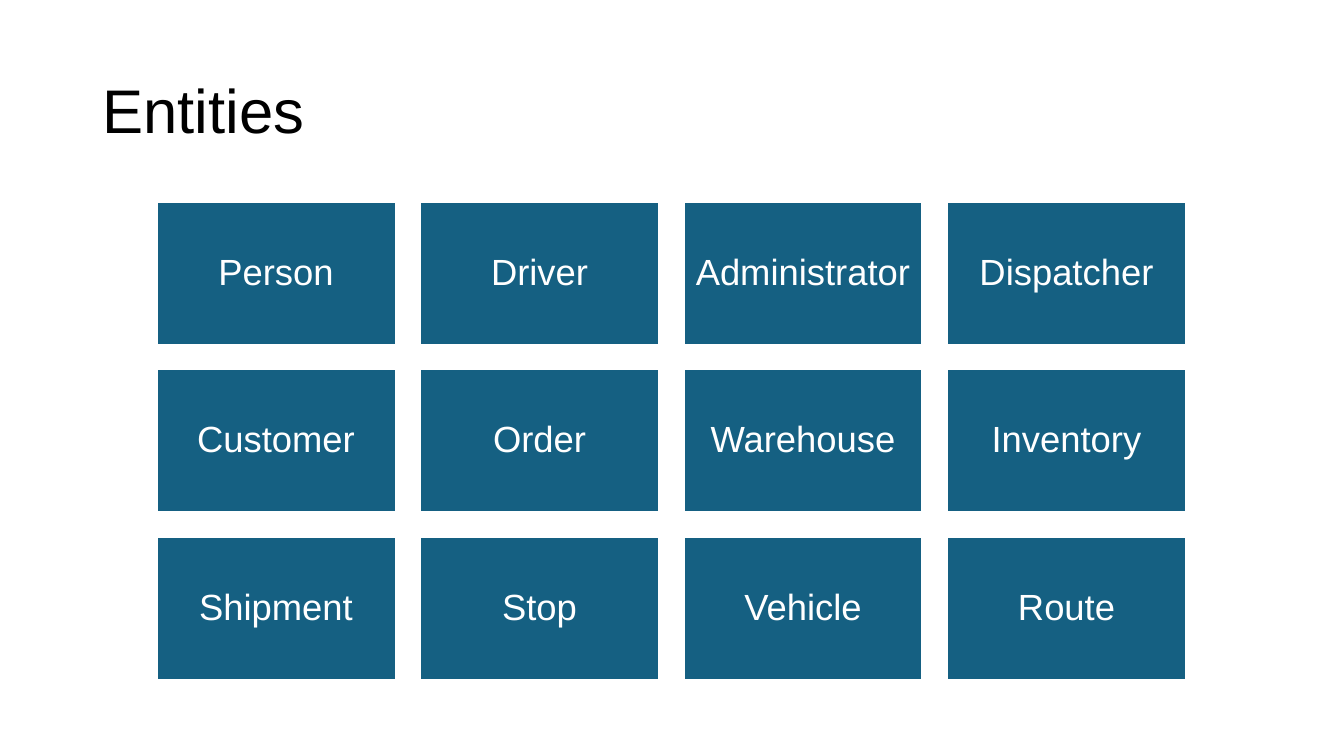
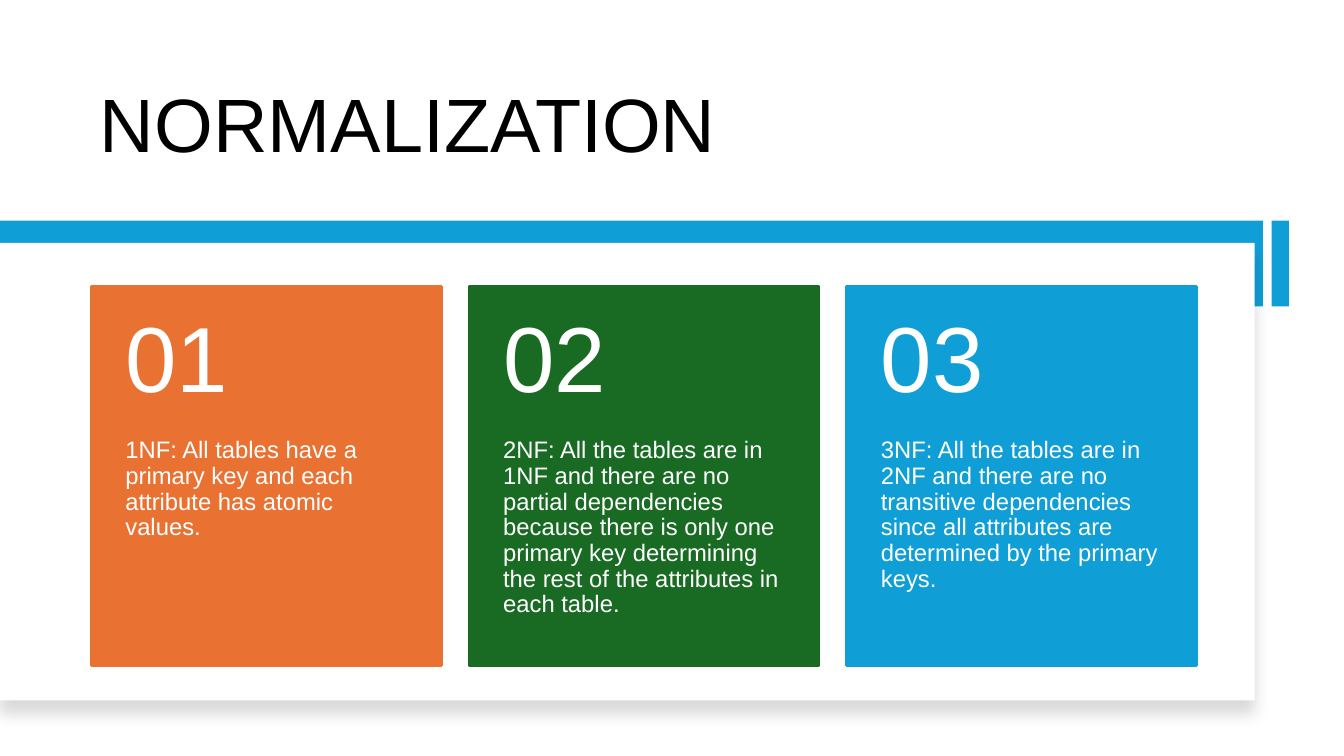
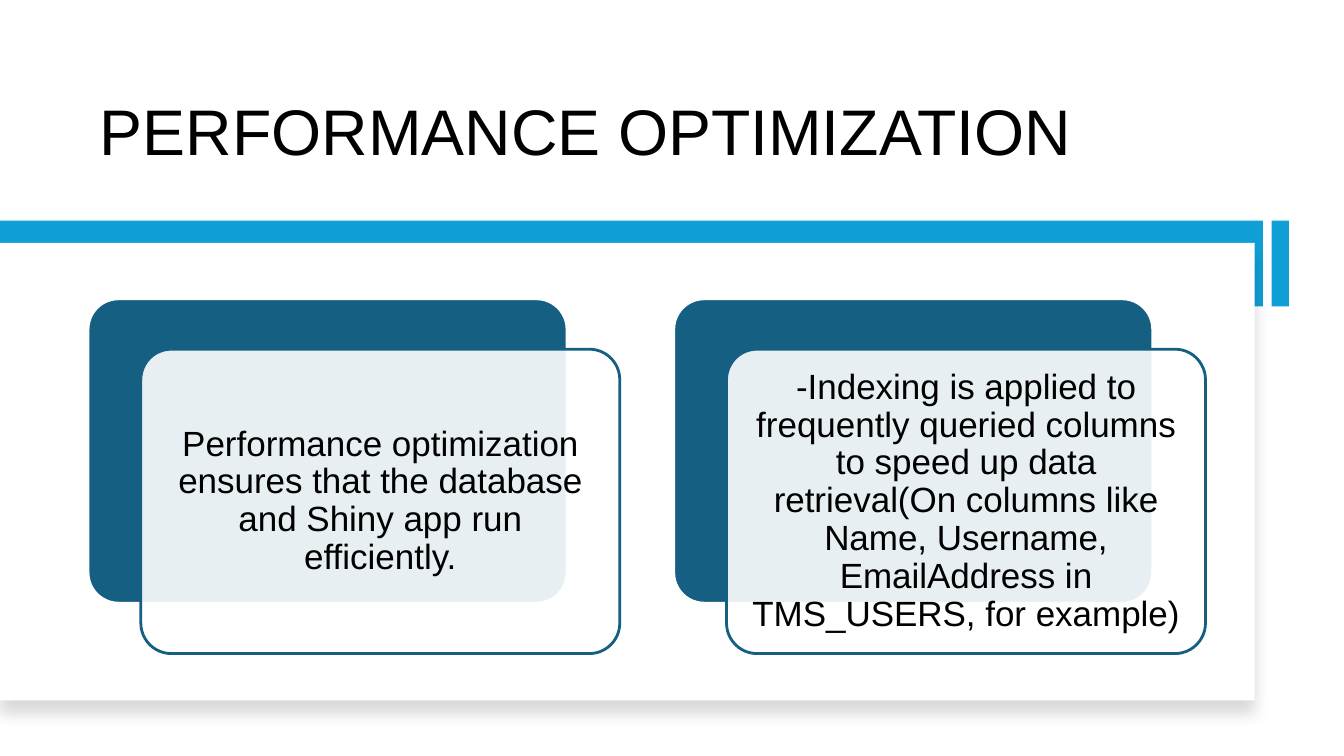
from dataclasses import dataclass
from typing import NamedTuple, Optional

from lxml.etree import SubElement
from pptx import Presentation
from pptx.dml.color import RGBColor
from pptx.enum.shapes import MSO_SHAPE as Shape
from pptx.enum.text import MSO_ANCHOR as Anchor, PP_ALIGN as Align
from pptx.oxml.ns import qn
from pptx.util import Cm, Pt


@dataclass(frozen=True)
class Theme:
    font: str = "Arial"
    black: str = "000000"
    white: str = "FFFFFF"
    teal: str = "156082"
    sky: str = "0F9ED5"
    orange: str = "E97132"
    green: str = "196B24"
    line_spacing: float = 0.9
    outline: float = 2
    title: int = 44
    title_large: int = 54
    title_medium: int = 46
    entity: int = 26
    number: int = 66
    card: int = 17
    statement: int = 25


class Box(NamedTuple):
    """Left, top, width and height in centimetres."""
    x: float
    y: float
    w: float
    h: float

    def moved(self, dx: float = 0, dy: float = 0) -> "Box":
        return self._replace(x=self.x + dx, y=self.y + dy)

    def emu(self) -> list:
        return [Cm(round(v, 2)) for v in self]


class Insets(NamedTuple):
    left: float
    top: float
    right: float
    bottom: float


class Card(NamedTuple):
    number: str
    color: str
    text: str


THEME = Theme()

PLAIN_TITLE = Box(2.33, 1.01, 29.21, 3.68)
BAND_TITLE = Box(2.27, 1.09, 25.65, 3.3)
TITLE_INSETS = Insets(0.25, 0.13, 0.25, 0.13)

BAND = Box(0, 5.56, 31.83, 2.16)
TAB = Box(32.05, 5.56, 0.43, 2.16)
PANEL = Box(0, 6.12, 31.62, 11.53)

ENTITIES = [
    ["Person", "Driver", "Administrator", "Dispatcher"],
    ["Customer", "Order", "Warehouse", "Inventory"],
    ["Shipment", "Stop", "Vehicle", "Route"],
]
ENTITY_BOX = Box(3.94, 5.08, 6.04, 3.62)
ENTITY_GAP = 0.6
ENTITY_INSETS = Insets(0.28, 0.28, 0.28, 0.28)

CARDS = [
    Card("01", THEME.orange,
         "1NF: All tables have a primary key and each attribute has atomic values."),
    Card("02", THEME.green,
         "2NF: All the tables are in 1NF and there are no partial dependencies "
         "because there is only one primary key determining the rest of the "
         "attributes in each table."),
    Card("03", THEME.sky,
         "3NF: All the tables are in 2NF and there are no transitive dependencies "
         "since all attributes are determined by the primary keys."),
]
CARD_BOX = Box(2.3, 7.22, 8.82, 9.55)
CARD_GAP = 0.7
NUMBER_HEIGHT = 3.82
CARD_INSETS = Insets(0.86, NUMBER_HEIGHT, 0.86, 0.91)
NUMBER_INSETS = Insets(0.86, 0.46, 0.86, 0.46)

STATEMENTS = [
    "Performance optimization ensures that the database and Shiny app run efficiently.",
    "-Indexing is applied to frequently queried columns to speed up data "
    "retrieval(On columns like Name, Username, EmailAddress in TMS_USERS, for example)",
]
STATEMENT_BOX = Box(2.22, 7.53, 12.07, 7.67)
STATEMENT_PITCH = 14.76
STATEMENT_OFFSET = (1.33, 1.27)
STATEMENT_INSETS = Insets(0.25, 0.25, 0.25, 0.25)


def write(sp, text: str, size: float, color: str, insets: Insets,
          anchor=Anchor.MIDDLE, align=Align.LEFT) -> None:
    tf = sp.text_frame
    tf.word_wrap = True
    tf.vertical_anchor = anchor
    tf.margin_left, tf.margin_top, tf.margin_right, tf.margin_bottom = map(Cm, insets)
    p = tf.paragraphs[0]
    p.text = text
    p.alignment = align
    p.line_spacing = THEME.line_spacing
    p.font.name = THEME.font
    p.font.size = Pt(size)
    p.font.color.rgb = RGBColor.from_string(color)


def add_text(slide, box: Box, text: str, size: float, color: str, insets: Insets,
             anchor=Anchor.MIDDLE) -> None:
    write(slide.shapes.add_textbox(*box.emu()), text, size, color, insets, anchor)


def add_block(slide, box: Box, fill: str, line: Optional[str] = None,
              kind=Shape.RECTANGLE):
    sp = slide.shapes.add_shape(kind, *box.emu())
    sp.shadow.inherit = False
    sp.fill.solid()
    sp.fill.fore_color.rgb = RGBColor.from_string(fill)
    if line:
        sp.line.color.rgb = RGBColor.from_string(line)
        sp.line.width = Pt(THEME.outline)
    else:
        sp.line.fill.background()
    if kind == Shape.ROUNDED_RECTANGLE:
        sp.adjustments[0] = 0.1
    return sp


def set_alpha(color, percent: int) -> None:
    SubElement(color, qn("a:alpha"), val=str(percent * 1000))


def add_drop_shadow(sp) -> None:
    effects = sp.element.spPr.find(qn("a:effectLst"))
    shadow = SubElement(effects, qn("a:outerShdw"), blurRad=str(Pt(11)),
                        dist=str(Pt(10)), dir=str(90 * 60000), rotWithShape="0")
    set_alpha(SubElement(shadow, qn("a:srgbClr"), val=THEME.black), 15)


def add_slide(prs):
    return prs.slides.add_slide(prs.slide_layouts[6])


def add_banded_slide(prs, title: str, size: float):
    """Add a slide with the title above a blue band and a raised white panel."""
    slide = add_slide(prs)
    add_text(slide, BAND_TITLE, title, size, THEME.black, TITLE_INSETS, Anchor.BOTTOM)
    for box in (TAB, BAND):
        add_block(slide, box, THEME.sky)
    add_drop_shadow(add_block(slide, PANEL, THEME.white))
    return slide


def build_entities(prs) -> None:
    slide = add_slide(prs)
    add_text(slide, PLAIN_TITLE, "Entities", THEME.title, THEME.black, TITLE_INSETS)
    for row, names in enumerate(ENTITIES):
        for col, name in enumerate(names):
            box = ENTITY_BOX.moved(col * (ENTITY_BOX.w + ENTITY_GAP),
                                   row * (ENTITY_BOX.h + ENTITY_GAP))
            sp = add_block(slide, box, THEME.teal, THEME.white)
            write(sp, name, THEME.entity, THEME.white, ENTITY_INSETS, align=Align.CENTER)


def build_normalization(prs) -> None:
    slide = add_banded_slide(prs, "NORMALIZATION", THEME.title_large)
    for i, card in enumerate(CARDS):
        box = CARD_BOX.moved(i * (CARD_BOX.w + CARD_GAP))
        sp = add_block(slide, box, card.color, card.color)
        write(sp, card.text, THEME.card, THEME.white, CARD_INSETS, Anchor.TOP)
        add_text(slide, box._replace(h=NUMBER_HEIGHT), card.number, THEME.number,
                 THEME.white, NUMBER_INSETS)


def build_performance(prs) -> None:
    slide = add_banded_slide(prs, "PERFORMANCE OPTIMIZATION", THEME.title_medium)
    for i, text in enumerate(STATEMENTS):
        back = STATEMENT_BOX.moved(i * STATEMENT_PITCH)
        add_block(slide, back, THEME.teal, THEME.white, Shape.ROUNDED_RECTANGLE)
        front = add_block(slide, back.moved(*STATEMENT_OFFSET), THEME.white, THEME.teal,
                          Shape.ROUNDED_RECTANGLE)
        set_alpha(front.element.spPr.find(qn("a:solidFill"))[0], 90)
        write(front, text, THEME.statement, THEME.black, STATEMENT_INSETS,
              align=Align.CENTER)


def main() -> None:
    prs = Presentation()
    prs.slide_width, prs.slide_height = Cm(33.87), Cm(19.05)
    build_entities(prs)
    build_normalization(prs)
    build_performance(prs)
    prs.save("out.pptx")


if __name__ == "__main__":
    main()
